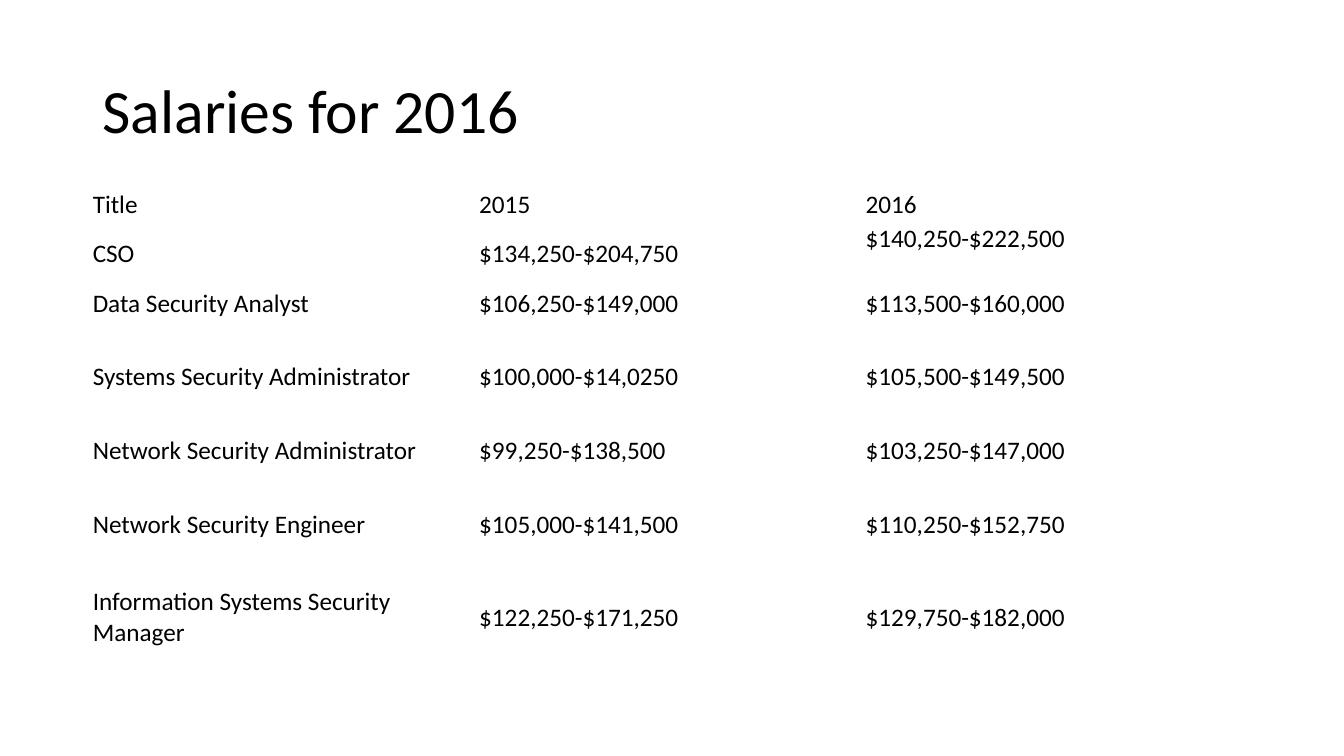
"""Builds the slide with the salary table for 2015 and 2016."""
from dataclasses import dataclass

from pptx import Presentation
from pptx.dml.color import RGBColor
from pptx.enum.text import MSO_ANCHOR
from pptx.util import Inches, Pt


@dataclass(frozen=True)
class Theme:
    """Holds the font, colours and type sizes."""
    font: str = "Calibri"
    ink: RGBColor = RGBColor(0x00, 0x00, 0x00)
    title_size: int = 44
    body_size: int = 18


def write_text(frame, text, *, theme, size, line_spacing=None, anchor=MSO_ANCHOR.MIDDLE):
    """Write one formatted paragraph into a text frame."""
    frame.word_wrap = True
    frame.vertical_anchor = anchor
    para = frame.paragraphs[0]
    if line_spacing:
        para.line_spacing = line_spacing
    span = para.add_run()
    span.text = text
    span.font.name = theme.font
    span.font.size = Pt(size)
    span.font.color.rgb = theme.ink


class SlideBuilder:
    """Adds styled elements to the current page."""

    def __init__(self, page, theme):
        """Keep the page and its theme."""
        self.page = page
        self.theme = theme

    def title(self, text, left, top, width, height):
        """Add the title box."""
        box = self.page.shapes.add_textbox(
            Inches(left), Inches(top), Inches(width), Inches(height))
        write_text(box.text_frame, text, theme=self.theme,
                   size=self.theme.title_size, line_spacing=0.9)

    def table(self, rows, heights, left, top, width, raised=()):
        """Add a plain table, with the raised cells set at the top."""
        frame = self.page.shapes.add_table(
            len(rows), len(rows[0]), Inches(left), Inches(top),
            Inches(width), Inches(sum(heights)))
        table = frame.table
        table.first_row = False
        table.horz_banding = False
        for row_index, (texts, height) in enumerate(zip(rows, heights)):
            table.rows[row_index].height = Inches(height)
            for column_index, text in enumerate(texts):
                cell = table.cell(row_index, column_index)
                cell.fill.background()
                cell.margin_left = cell.margin_right = 0
                cell.margin_top = cell.margin_bottom = 0
                place = (row_index, column_index)
                cell.vertical_anchor = MSO_ANCHOR.TOP if place in raised else MSO_ANCHOR.MIDDLE
                if text:
                    write_text(cell.text_frame, text, theme=self.theme,
                               size=self.theme.body_size, anchor=cell.vertical_anchor)


SPACER = ("", "", "")
SALARIES = [
    ("Title", "2015", "2016"),
    ("CSO", "$134,250-$204,750", "$140,250-$222,500"),
    ("Data Security Analyst", "$106,250-$149,000", "$113,500-$160,000"),
    SPACER,
    ("Systems Security Administrator", "$100,000-$14,0250", "$105,500-$149,500"),
    SPACER,
    ("Network Security Administrator", "$99,250-$138,500", "$103,250-$147,000"),
    SPACER,
    ("Network Security Engineer", "$105,000-$141,500", "$110,250-$152,750"),
    SPACER,
    ("Information Systems Security Manager", "$122,250-$171,250", "$129,750-$182,000"),
]
ROW = 4.4 / 12
HEIGHTS = [ROW, 0.61] + [ROW] * 8 + [2 * ROW]


def main():
    """Build and save the deck."""
    deck = Presentation()
    deck.slide_width, deck.slide_height = Inches(13.33), Inches(7.5)
    page = deck.slides.add_slide(deck.slide_layouts[6])
    builder = SlideBuilder(page, Theme())
    builder.title("Salaries for 2016", 0.92, 0.4, 11.5, 1.45)
    builder.table(SALARIES, HEIGHTS, 0.92, 1.85, 11.5, raised={(1, 2)})
    deck.save("out.pptx")


if __name__ == "__main__":
    main()
